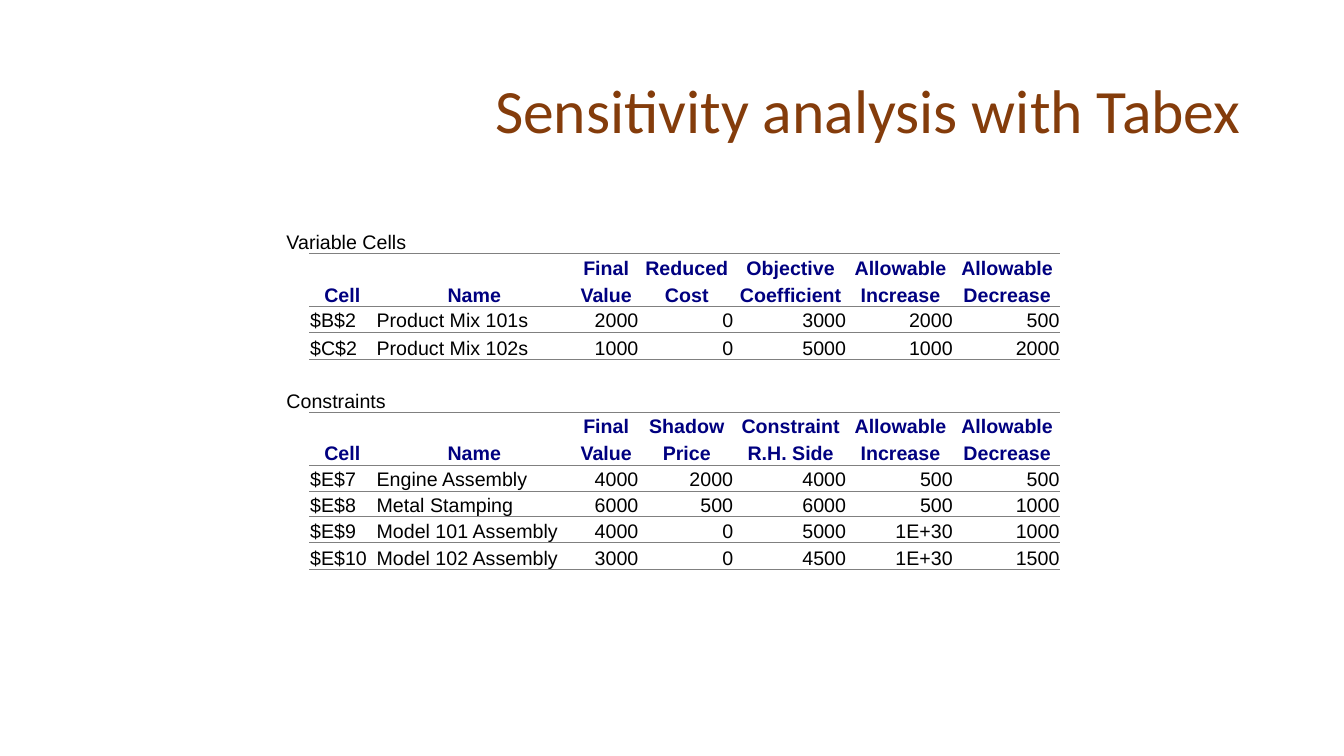
from dataclasses import dataclass

from lxml.etree import SubElement
from pptx import Presentation
from pptx.dml.color import RGBColor
from pptx.enum.text import MSO_ANCHOR as Anchor, PP_ALIGN as Align
from pptx.oxml.ns import qn
from pptx.table import _Cell as Cell
from pptx.util import Pt

BROWN = RGBColor(0x84, 0x3C, 0x0B)
NAVY = RGBColor(0x00, 0x00, 0x80)
BLACK = RGBColor(0x00, 0x00, 0x00)
GREY = RGBColor(0x80, 0x80, 0x80)

BODY_SIZE = 14
THIN, THICK = 0.5, 1.0
COLUMN_WIDTHS = [16.9, 47.5, 141, 47.5, 67.7, 80.7, 76.2, 76.2]
ROW_HEIGHTS = [18.4, 19.4] * 5 + [18.4] * 3 + [19.4]
CAPTION_SPAN = 3


@dataclass
class Section:
    caption: str
    header_tops: list[str]
    header_bottoms: list[str]
    entries: list[list[str]]


@dataclass
class ReportRow:
    texts: list[str]
    is_caption: bool = False
    is_header: bool = False
    rule_below: float = 0


SECTIONS = [
    Section(
        "Variable Cells",
        ["", "", "Final", "Reduced", "Objective", "Allowable", "Allowable"],
        ["Cell", "Name", "Value", "Cost", "Coefficient", "Increase", "Decrease"],
        [
            ["$B$2", "Product Mix 101s", "2000", "0", "3000", "2000", "500"],
            ["$C$2", "Product Mix 102s", "1000", "0", "5000", "1000", "2000"],
        ],
    ),
    Section(
        "Constraints",
        ["", "", "Final", "Shadow", "Constraint", "Allowable", "Allowable"],
        ["Cell", "Name", "Value", "Price", "R.H. Side", "Increase", "Decrease"],
        [
            ["$E$7", "Engine Assembly", "4000", "2000", "4000", "500", "500"],
            ["$E$8", "Metal Stamping", "6000", "500", "6000", "500", "1000"],
            ["$E$9", "Model 101 Assembly", "4000", "0", "5000", "1E+30", "1000"],
            ["$E$10", "Model 102 Assembly", "3000", "0", "4500", "1E+30", "1500"],
        ],
    ),
]


def section_rows(section: Section) -> list[ReportRow]:
    """Spacer, caption, two header lines and the entries, with the rule under each."""
    blanks = [""] * len(COLUMN_WIDTHS)
    rows = [
        ReportRow(blanks),
        ReportRow([section.caption] + blanks[1:], is_caption=True, rule_below=THICK),
        ReportRow([""] + section.header_tops, is_header=True),
        ReportRow([""] + section.header_bottoms, is_header=True, rule_below=THIN),
    ]
    rows += [ReportRow([""] + entry, rule_below=THIN) for entry in section.entries]
    rows[-1].rule_below = THICK
    return rows


def set_borders(cell: Cell, top: float, bottom: float) -> None:
    properties = cell._tc.get_or_add_tcPr()
    for edge, width in (("L", 0), ("R", 0), ("T", top), ("B", bottom)):
        line = SubElement(properties, qn(f"a:ln{edge}"), w=str(Pt(width)))
        if width:
            fill = SubElement(line, qn("a:solidFill"))
            SubElement(fill, qn("a:srgbClr"), val=str(GREY))
        else:
            SubElement(line, qn("a:noFill"))


def write_cell(cell: Cell, text: str, align: Align, is_header: bool) -> None:
    cell.vertical_anchor = Anchor.BOTTOM
    cell.margin_left = cell.margin_right = cell.margin_top = Pt(0.75)
    cell.margin_bottom = Pt(0)
    cell.text_frame.text = text
    paragraph = cell.text_frame.paragraphs[0]
    paragraph.alignment = align
    for run in paragraph.runs:
        run.font.name = "Arial"
        run.font.size = Pt(BODY_SIZE)
        run.font.bold = is_header
        run.font.color.rgb = NAVY if is_header else BLACK
    if not text:  # keeps an empty cell from stretching its row
        SubElement(paragraph._p, qn("a:endParaRPr"), sz=str(BODY_SIZE * 100))


def alignment(row: ReportRow, column: int) -> Align:
    if row.is_header:
        return Align.CENTER
    return Align.LEFT if column < CAPTION_SPAN else Align.RIGHT


def add_title(slide) -> None:
    title = slide.shapes.add_textbox(Pt(66), Pt(28.75), Pt(828), Pt(104.4)).text_frame
    title.word_wrap = True
    title.vertical_anchor = Anchor.MIDDLE
    title.text = "Sensitivity analysis with Tabex"
    line = title.paragraphs[0]
    line.alignment = Align.RIGHT
    line.line_spacing = 0.9
    font = line.runs[0].font
    font.name, font.size, font.color.rgb = "Calibri", Pt(44), BROWN


def add_report(slide) -> None:
    rows = [row for section in SECTIONS for row in section_rows(section)]
    report = slide.shapes.add_table(
        len(rows), len(COLUMN_WIDTHS), Pt(203.9), Pt(143.3),
        Pt(sum(COLUMN_WIDTHS)), Pt(sum(ROW_HEIGHTS)),
    ).table
    report.first_row = report.horz_banding = False
    for column, width in zip(report.columns, COLUMN_WIDTHS):
        column.width = Pt(width)
    rule_above = 0
    for r, (row, height) in enumerate(zip(rows, ROW_HEIGHTS)):
        report.rows[r].height = Pt(height)
        for c, text in enumerate(row.texts):
            cell = report.cell(r, c)
            first_ruled = CAPTION_SPAN if row.is_caption else 1
            ruled = c >= first_ruled
            write_cell(cell, text, alignment(row, c), row.is_header)
            set_borders(cell, rule_above if ruled else 0, row.rule_below if ruled else 0)
            cell.fill.background()
        if row.is_caption:
            report.cell(r, 0).merge(report.cell(r, CAPTION_SPAN - 1))
        rule_above = row.rule_below


def main() -> None:
    deck = Presentation()
    deck.slide_width, deck.slide_height = Pt(960), Pt(540)
    slide = deck.slides.add_slide(deck.slide_layouts[6])
    add_title(slide)
    add_report(slide)
    deck.save("out.pptx")


if __name__ == "__main__":
    main()
